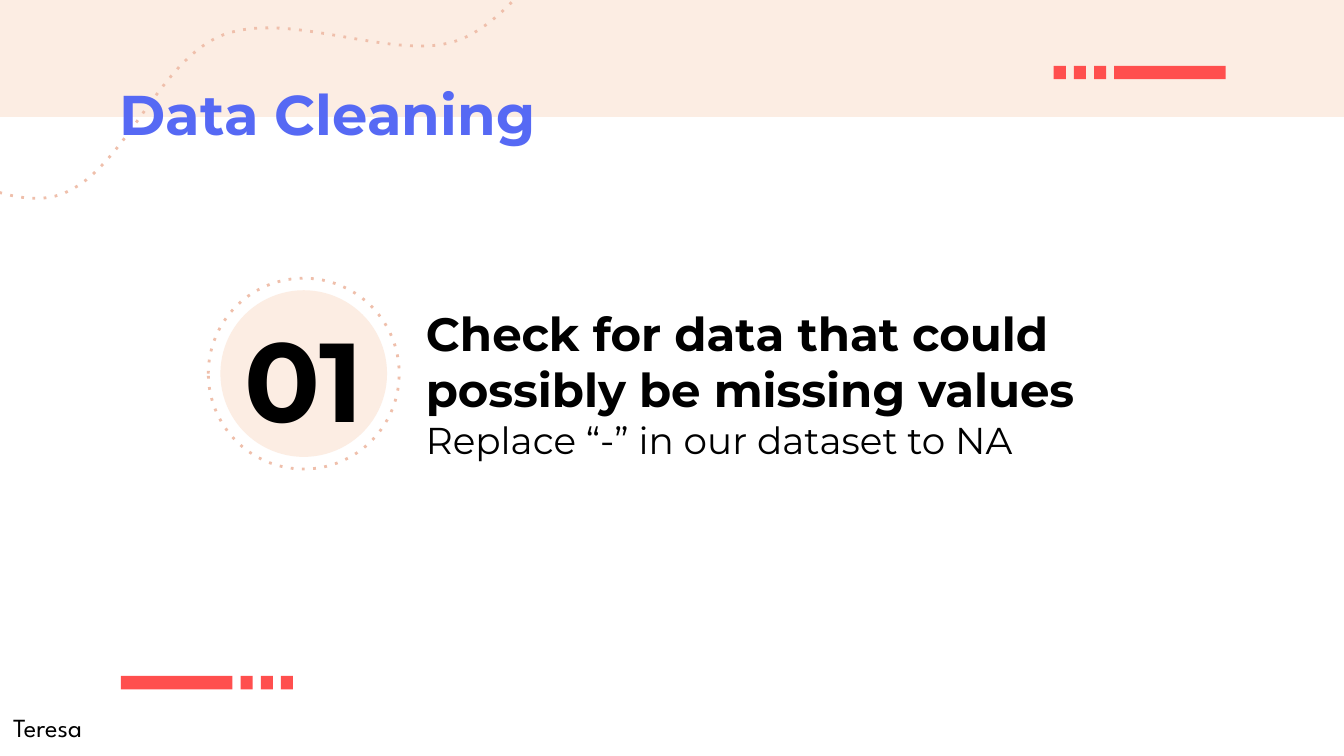
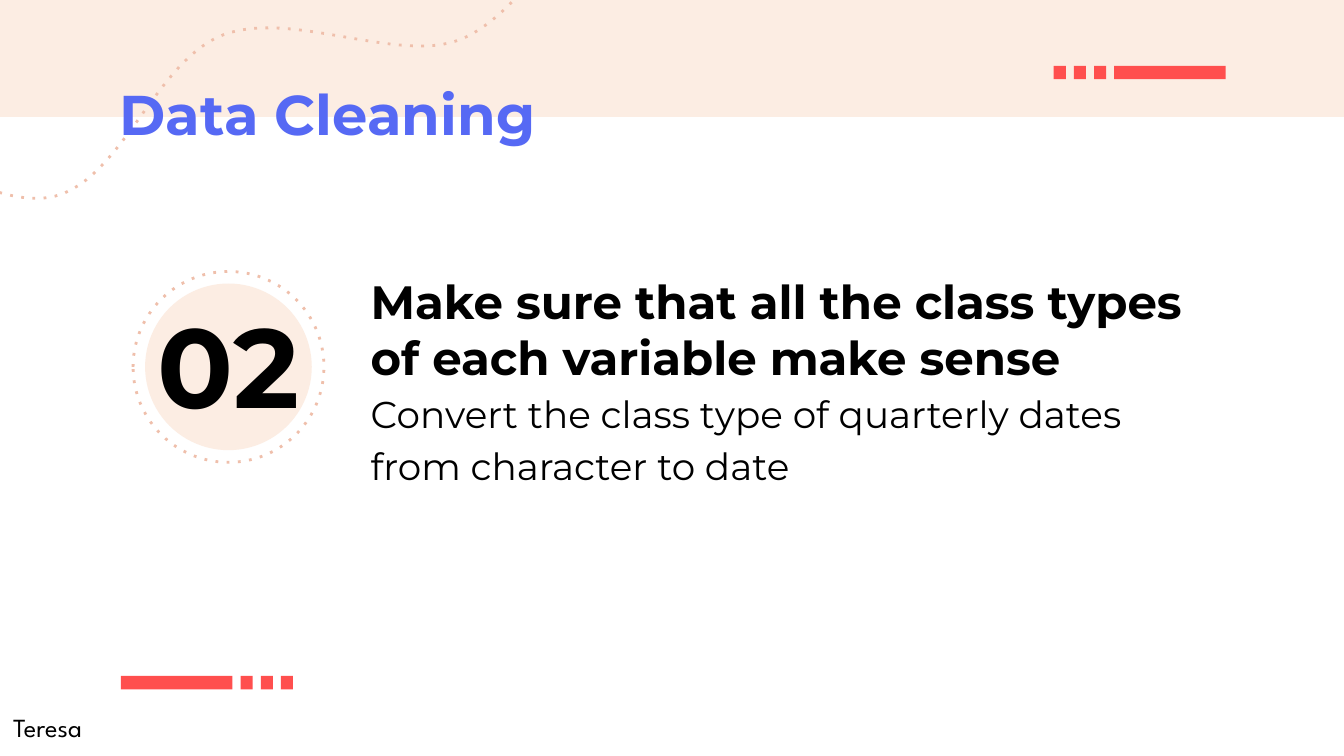
import pptx
import pptx.dml.color
import pptx.enum.dml
import pptx.enum.shapes
import pptx.enum.text
import pptx.oxml.ns
import pptx.util

Inches = pptx.util.Inches
SHAPE = pptx.enum.shapes.MSO_SHAPE
ANCHOR = pptx.enum.text.MSO_ANCHOR
ALIGN = pptx.enum.text.PP_ALIGN

COLORS = {
    "peach": "FCEDE3",
    "dots": "EFBFAB",
    "red": "FF4F4E",
    "blue": "5669F4",
    "black": "000000",
}
FONT = "Montserrat"
FOOTER_FONT = "League Spartan"

# Wave: start point, then Bezier segments (control, control, end)
WAVE_START = (-2.95, 2.21)
WAVE = [
    ((-2.69, 2.01), (-1.93, 1.17), (-1.37, 1.04)),
    ((-0.81, 0.92), (-0.1, 1.59), (0.41, 1.46)),
    ((0.91, 1.33), (1.16, 0.45), (1.66, 0.26)),
    ((2.16, 0.07), (2.95, 0.47), (3.41, 0.3)),
    ((3.87, 0.13), (4.24, -0.59), (4.41, -0.76)),
]
WAVE_STEPS = 24

STEPS = [
    {
        "number": "01", "ring": (1.55, 2.07), "number_top": 2.25,
        "box": (3.07, 2.17, 5.34, 1.38), "spacing": 1.0,
        "heading": "Check for data that could possibly be missing values",
        "detail": "Replace “-” in our dataset to NA",
    },
    {
        "number": "02", "ring": (0.99, 2.02), "number_top": 2.15,
        "box": (2.66, 1.93, 6.4, 1.77), "spacing": 1.15,
        "heading": "Make sure that all the class types of each variable make sense",
        "detail": "Convert the class type of quarterly dates from character to date",
    },
]


def rgb(name):
    return pptx.dml.color.RGBColor.from_string(COLORS[name])


def add_filled(shapes, kind, box, color):
    sp = shapes.add_shape(kind, *map(Inches, box))
    sp.shadow.inherit = False
    sp.fill.solid()
    sp.fill.fore_color.rgb = rgb(color)
    sp.line.fill.background()
    return sp


def style_dotted(sp):
    """Leave only a dotted outline on the shape."""
    sp.shadow.inherit = False
    sp.fill.background()
    sp.line.color.rgb = rgb("dots")
    sp.line.width = pptx.util.Pt(1.5)
    sp.line.dash_style = pptx.enum.dml.MSO_LINE.ROUND_DOT
    dash = next(sp.element.iter(pptx.oxml.ns.qn("a:prstDash")))
    dash.set("val", "dot")


def add_paragraph(tf, text, *, size, bold=False, color="black", font=FONT,
                  align=ALIGN.LEFT, spacing=1.0):
    p = tf.paragraphs[0]
    if p.runs:
        p = tf.add_paragraph()
    p.alignment = align
    p.line_spacing = spacing
    r = p.add_run()
    r.text = text
    r.font.size = pptx.util.Pt(size)
    r.font.bold = bold
    r.font.name = font
    r.font.color.rgb = rgb(color)


def add_text_frame(s, box, anchor=ANCHOR.TOP):
    tf = s.shapes.add_textbox(*map(Inches, box)).text_frame
    tf.word_wrap = True
    tf.vertical_anchor = anchor
    tf.margin_left = tf.margin_right = Inches(0.1)
    tf.margin_top = tf.margin_bottom = Inches(0.1)
    return tf


def add_wave(s):
    points = []
    start = WAVE_START
    for c1, c2, end in WAVE:
        for i in range(1, WAVE_STEPS + 1):
            t = i / WAVE_STEPS
            u = 1 - t
            points.append(tuple(
                Inches(u**3 * a + 3 * u * u * t * b + 3 * u * t * t * c + t**3 * d)
                for a, b, c, d in zip(start, c1, c2, end)))
        start = end
    builder = s.shapes.build_freeform(*map(Inches, WAVE_START))
    builder.add_line_segments(points, close=False)
    style_dotted(builder.convert_to_shape())


def add_accent(s, bar_left, squares_left, top):
    """Long red bar with three small squares beside it."""
    shapes = s.shapes.add_group_shape().shapes
    add_filled(shapes, SHAPE.RECTANGLE, (bar_left, top, 0.83, 0.1), "red")
    for i in range(3):
        box = (squares_left + 0.15 * i, top, 0.09, 0.1)
        add_filled(shapes, SHAPE.RECTANGLE, box, "red")


def add_header(s):
    # Band, wave and accents
    add_filled(s.shapes, SHAPE.RECTANGLE, (-0.01, 0, 10.01, 0.87), "peach")
    add_wave(s)
    add_accent(s, 8.29, 7.84, 0.49)
    add_accent(s, 0.9, 1.79, 5.03)
    # Title
    tf = add_text_frame(s, (0.79, 0.49, 8.43, 0.63))
    add_paragraph(tf, "Data Cleaning", size=30, bold=True, color="blue")


def add_step(s, step):
    # Heading and detail
    tf = add_text_frame(s, step["box"])
    add_paragraph(tf, step["heading"], size=25, bold=True)
    add_paragraph(tf, step["detail"], size=20, spacing=step["spacing"])
    # Numbered disc inside a dotted ring
    x, y = step["ring"]
    ring = s.shapes.add_shape(SHAPE.OVAL, *map(Inches, (x, y, 1.42, 1.42)))
    style_dotted(ring)
    add_filled(s.shapes, SHAPE.OVAL, (x + 0.09, y + 0.09, 1.24, 1.24), "peach")
    tf = add_text_frame(s, (x - 0.55, step["number_top"], 2.52, 1.16), ANCHOR.BOTTOM)
    add_paragraph(tf, step["number"], size=60, bold=True, align=ALIGN.CENTER)


def add_presenter(s):
    tf = add_text_frame(s, (0, 5.19, 0.86, 0.44))
    add_paragraph(tf, "Teresa", size=14, font=FOOTER_FONT)


def main():
    prs = pptx.Presentation()
    prs.slide_width = Inches(10)
    prs.slide_height = prs.slide_width * 9 // 16
    for step in STEPS:
        s = prs.slides.add_slide(prs.slide_layouts[6])
        add_header(s)
        add_step(s, step)
        add_presenter(s)
    prs.save("out.pptx")


if __name__ == "__main__":
    main()
